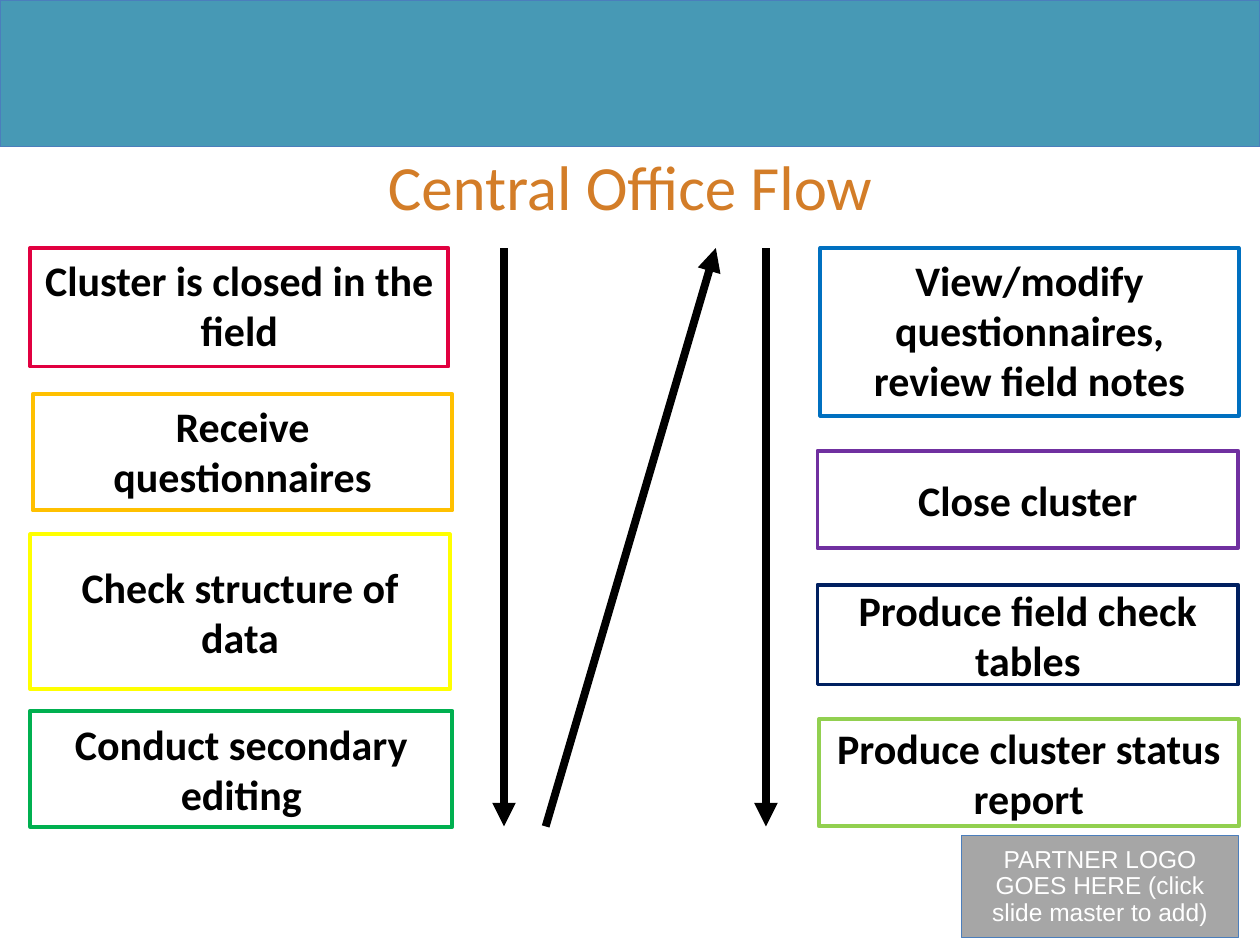
"""Build the Central Office Flow slide."""
from dataclasses import dataclass

import pptx
import pptx.dml.color
import pptx.enum.shapes
import pptx.enum.text
import pptx.oxml
import pptx.oxml.ns
import pptx.util
from pptx.util import Cm, Pt

ANCHOR = pptx.enum.text.MSO_ANCHOR
FLOW_TOP, FLOW_BOTTOM = 5.0, 16.66


@dataclass
class Step:
    label: str
    outline: str
    left: float
    top: float
    width: float
    height: float
    anchor: ANCHOR = ANCHOR.MIDDLE


@dataclass
class Arrow:
    start_x: float
    start_y: float
    end_x: float
    end_y: float


STEPS = [
    Step("Cluster is closed in the field", "E10040", 0.61, FLOW_TOP, 8.43, 2.39, ANCHOR.TOP),
    Step("Receive questionnaires", "FFC000", 0.66, 7.95, 8.46, 2.34, ANCHOR.TOP),
    Step("Check structure of data", "FFFF00", 0.61, 10.77, 8.46, 3.12),
    Step("Conduct secondary editing", "00B050", 0.61, 14.33, 8.51, 2.34),
    Step("View/modify questionnaires, review field notes", "0070C0",
         16.54, FLOW_TOP, 8.43, 3.38, ANCHOR.TOP),
    Step("Close cluster", "7030A0", 16.48, 9.09, 8.48, 1.96),
    Step("Produce field check tables", "002060", 16.48, 11.79, 8.48, 2.01),
    Step("Produce cluster status report", "92D050", 16.51, 14.5, 8.46, 2.16),
]

ARROWS = [
    Arrow(10.16, FLOW_TOP, 10.16, FLOW_BOTTOM),
    Arrow(15.44, FLOW_TOP, 15.44, FLOW_BOTTOM),
    Arrow(11.0, FLOW_BOTTOM, 14.43, FLOW_TOP),
]


def rgb(value: str) -> pptx.dml.color.RGBColor:
    """Turn a hex string into a colour."""
    return pptx.dml.color.RGBColor.from_string(value)


def write(frame, text: str, font: str, size: float, color: str, bold: bool = False):
    """Write one centred paragraph into a text frame and return it."""
    frame.word_wrap = True
    paragraph = frame.paragraphs[0]
    paragraph.alignment = pptx.enum.text.PP_ALIGN.CENTER
    run = paragraph.add_run()
    run.text = text
    run.font.name = font
    run.font.size = Pt(size)
    run.font.bold = bold
    run.font.color.rgb = rgb(color)
    return paragraph


def add_box(slide, left: float, top: float, width: float, height: float,
            outline: str, weight: float, fill: str = ""):
    """Add an outlined rectangle, filled only when a fill is given."""
    box = slide.shapes.add_shape(pptx.enum.shapes.MSO_SHAPE.RECTANGLE,
                                 Cm(left), Cm(top), Cm(width), Cm(height))
    box.shadow.inherit = False
    box.line.color.rgb = rgb(outline)
    box.line.width = Pt(weight)
    if fill:
        box.fill.solid()
        box.fill.fore_color.rgb = rgb(fill)
    else:
        box.fill.background()
    return box


def add_step(slide, step: Step) -> None:
    """Draw one step of the flow."""
    box = add_box(slide, step.left, step.top, step.width, step.height, step.outline, 2.25)
    box.text_frame.vertical_anchor = step.anchor
    write(box.text_frame, step.label, "Calibri", 24, "000000", bold=True)


def add_arrow(slide, arrow: Arrow) -> None:
    """Draw one thick arrow with a triangular head at its end."""
    connector = slide.shapes.add_connector(
        pptx.enum.shapes.MSO_CONNECTOR.STRAIGHT,
        Cm(arrow.start_x), Cm(arrow.start_y), Cm(arrow.end_x), Cm(arrow.end_y))
    connector.line.color.rgb = rgb("000000")
    connector.line.width = Pt(4.5)
    head = pptx.oxml.parse_xml(
        f'<a:tailEnd {pptx.oxml.ns.nsdecls("a")} type="triangle"/>')
    connector.line._get_or_add_ln().append(head)
    connector._element.spPr.append(
        pptx.oxml.parse_xml(f'<a:effectLst {pptx.oxml.ns.nsdecls("a")}/>'))


def add_title(slide, text: str) -> None:
    """Place and format the title."""
    title = slide.shapes.title
    title.left, title.top, title.width, title.height = Cm(2.92), Cm(2.84), Cm(19.56), Cm(1.7)
    title.text_frame.auto_size = pptx.enum.text.MSO_AUTO_SIZE.NONE
    title.text_frame.vertical_anchor = ANCHOR.TOP
    write(title.text_frame, text, "Calibri", 36, "D37D28")


def main() -> None:
    """Build and save the slide."""
    deck = pptx.Presentation()
    deck.slide_width, deck.slide_height = Cm(25.4), Cm(19.05)
    slide = deck.slides.add_slide(deck.slide_layouts.get_by_name("Title Only"))

    add_box(slide, 0, 0, 25.4, 2.95, "4B7EBC", 0.75, fill="4799B5")
    partner = add_box(slide, 19.38, 16.84, 5.59, 2.06, "4B7EBC", 0.75, fill="A6A6A6")
    partner_note = write(partner.text_frame,
                         "PARTNER LOGO GOES HERE (click slide master to add)",
                         "Arial", 14, "FFFFFF")
    partner_note.line_spacing = Pt(15.2)
    add_title(slide, "Central Office Flow")

    for step in STEPS:
        add_step(slide, step)
    for arrow in ARROWS:
        add_arrow(slide, arrow)

    deck.save("out.pptx")


if __name__ == "__main__":
    main()
